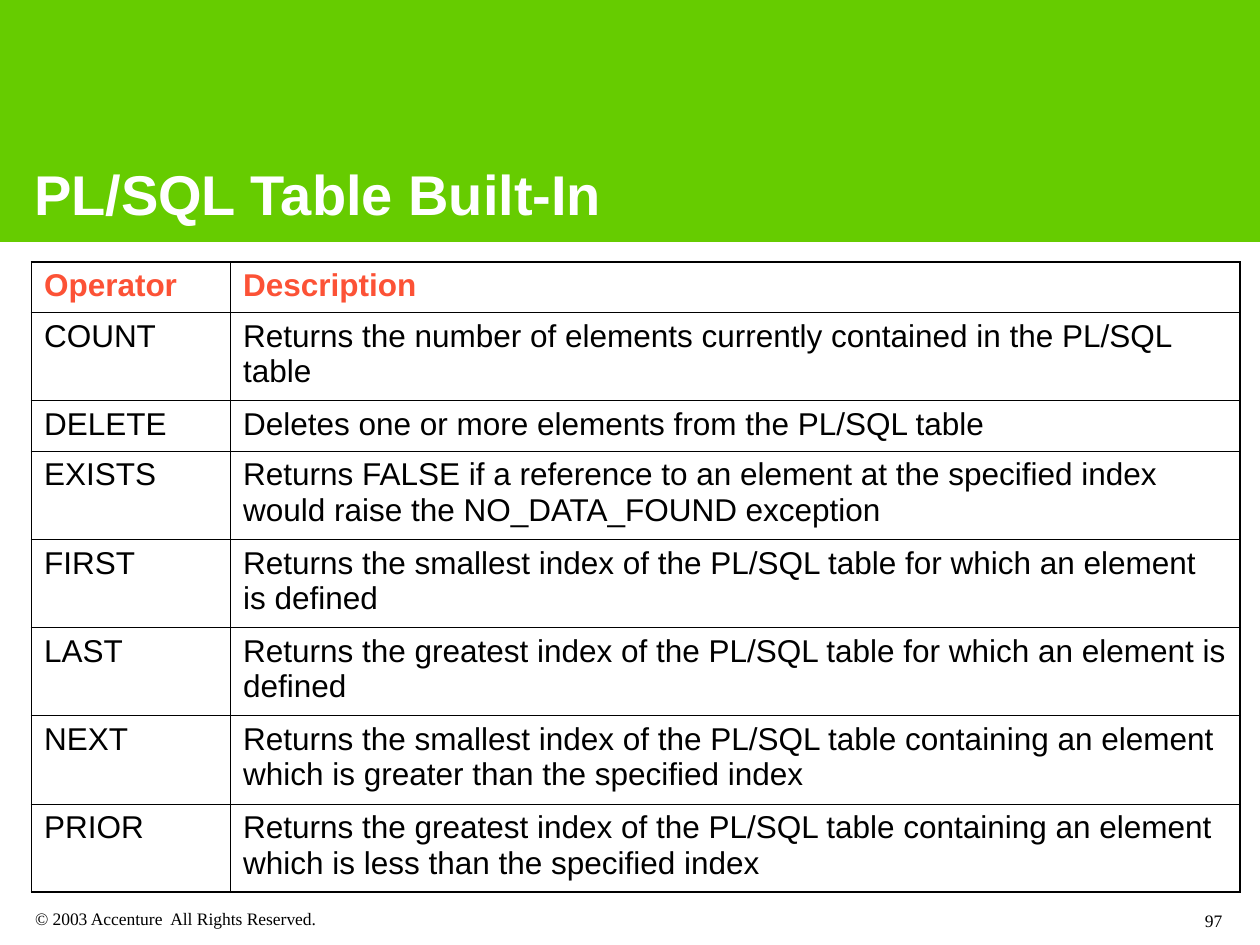
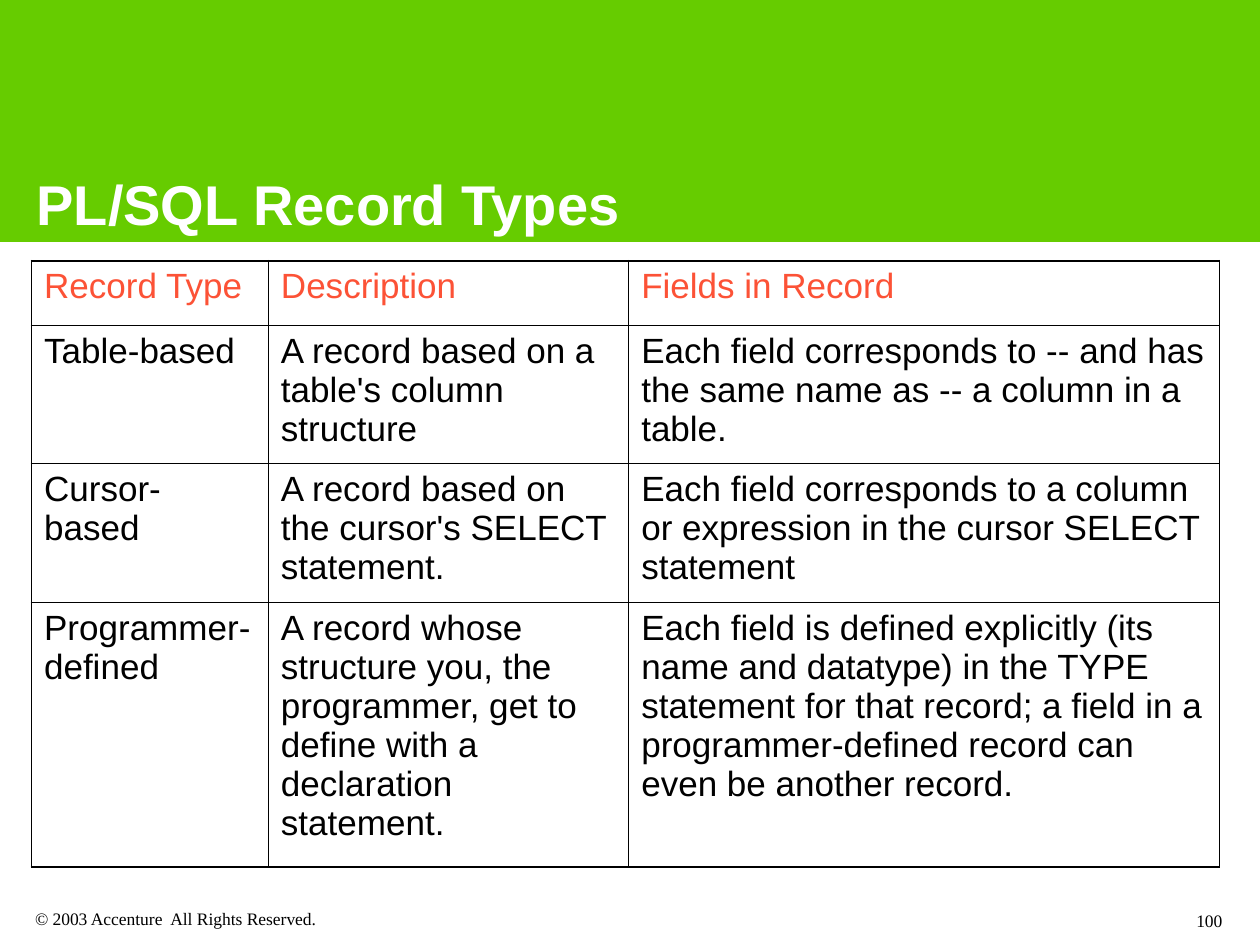
from lxml.etree import SubElement
from pptx import Presentation
from pptx.dml.color import RGBColor
from pptx.enum.shapes import MSO_SHAPE as Shape
from pptx.enum.text import MSO_ANCHOR as Anchor, MSO_AUTO_SIZE as AutoSize, PP_ALIGN as Align
from pptx.oxml import parse_xml
from pptx.oxml.ns import nsdecls, qn
from pptx.util import Inches, Pt

# Shared look
GREEN, ORANGE, BLACK, WHITE = "66CC00", "FC5236", "000000", "FFFFFF"
OUTER, INNER = 1.08, 0.45
FRAME = {
    "word_wrap": True, "auto_size": AutoSize.NONE, "vertical_anchor": Anchor.BOTTOM,
    "margin_left": Inches(0.1), "margin_right": Inches(0.1),
    "margin_top": Inches(0.05), "margin_bottom": Inches(0.05),
}
TITLE_FONT = {"name": "Arial", "size": Pt(32), "bold": True}
FOOTER_FONT = {"name": "Times New Roman", "size": Pt(10)}
COPYRIGHT = "© 2003 Accenture  All Rights Reserved."

# Content of the slides
pages = [
    {
        "title": "PL/SQL Table Built-In", "title_at": (0.17, 1.08, 6.89, 0.77),
        "number": "97", "table_at": (0.25, 2.08), "size": 18, "bold_header": True,
        "columns": [1.58, 8.01],
        "heights": [0.4, 0.7, 0.4] + [0.7] * 5,
        "rows": [
            ("Operator", "Description"),
            ("COUNT", "Returns the number of elements currently contained in the PL/SQL table"),
            ("DELETE", "Deletes one or more elements from the PL/SQL table"),
            ("EXISTS", "Returns FALSE if a reference to an element at the specified index "
                       "would raise the NO_DATA_FOUND exception"),
            ("FIRST", "Returns the smallest index of the PL/SQL table for which an element "
                      "is defined"),
            ("LAST", "Returns the greatest index of the PL/SQL table for which an element "
                     "is defined"),
            ("NEXT", "Returns the smallest index of the PL/SQL table containing an element "
                     "which is greater than the specified index"),
            ("PRIOR", "Returns the greatest index of the PL/SQL table containing an element "
                      "which is less than the specified index"),
        ],
    },
    {
        "title": "PL/SQL Record Types", "title_at": (0.19, 1.25, 6.89, 0.68),
        "number": "100", "table_at": (0.25, 2.07), "size": 20, "bold_header": False,
        "columns": [1.88, 2.86, 4.69],
        "heights": [0.51, 1.1, 1.1, 2.1],
        "rows": [
            ("Record Type", "Description", "Fields in Record"),
            ("Table-based", "A record based on a table's column structure",
             "Each field corresponds to -- and has the same name as -- a column in a table."),
            ("Cursor-based", "A record based on the cursor's SELECT statement.",
             "Each field corresponds to a column or expression in the cursor SELECT statement"),
            ("Programmer-defined",
             "A record whose structure you, the programmer, get to define with a "
             "declaration statement.",
             "Each field is defined explicitly (its name and datatype) in the TYPE statement "
             "for that record; a field in a programmer-defined record can even be another "
             "record."),
        ],
    },
]


def rgb(hex_color):
    return RGBColor.from_string(hex_color)


def write(frame, text, color, font, paragraph_format):
    frame.text = text
    paragraph = frame.paragraphs[0]
    run_font = paragraph.runs[0].font
    for target, values in ((paragraph, paragraph_format), (run_font, font)):
        for name, value in values.items():
            setattr(target, name, value)
    run_font.color.rgb = rgb(color)


deck = Presentation()
deck.slide_width, deck.slide_height = Inches(10), Inches(7.5)
layout = deck.slide_layouts[5]

for page in pages:
    slide = deck.slides.add_slide(layout)

    # Green band, moved once into the shared layout
    if page is pages[0]:
        band = slide.shapes.add_shape(Shape.RECTANGLE, 0, 0, Inches(10), Inches(1.92))
        band.shadow.inherit = False
        band.fill.solid()
        band.fill.fore_color.rgb = rgb(GREEN)
        band.line.fill.background()
        layout.shapes._spTree.insert(2, band._element)

    # Title
    title = slide.shapes.title
    title.left, title.top, title.width, title.height = map(Inches, page["title_at"])
    for name, value in FRAME.items():
        setattr(title.text_frame, name, value)
    write(title.text_frame, page["title"], WHITE, TITLE_FONT, {"alignment": Align.LEFT})

    # Table
    columns, heights, rows = page["columns"], page["heights"], page["rows"]
    left, top = map(Inches, page["table_at"])
    table = slide.shapes.add_table(len(rows), len(columns), left, top,
                                   Inches(sum(columns)), Inches(sum(heights))).table
    table.first_row = table.horz_banding = False
    for column, width in zip(table.columns, columns):
        column.width = Inches(width)
    for row, height in zip(table.rows, heights):
        row.height = Inches(height)

    for r, texts in enumerate(rows):
        for c, text in enumerate(texts):
            cell = table.cell(r, c)
            header = r == 0
            font = {"name": "Arial", "size": Pt(page["size"]),
                    "bold": header and page["bold_header"]}
            write(cell.text_frame, text, ORANGE if header else BLACK, font, {})
            cell.fill.background()

            # Heavier lines on the outer edges
            edges = {"lnL": c == 0, "lnR": c == len(columns) - 1,
                     "lnT": r == 0, "lnB": r == len(rows) - 1}
            for position, (edge, is_outer) in enumerate(edges.items()):
                width = Pt(OUTER if is_outer else INNER)
                line = parse_xml(f'<a:{edge} {nsdecls("a")} w="{width}"/>')
                SubElement(SubElement(line, qn("a:solidFill")), qn("a:srgbClr"), val=BLACK)
                cell._tc.get_or_add_tcPr().insert(position, line)

    # Footer: copyright and page number
    for text, box, paragraph_format in (
        (COPYRIGHT, (0.18, 6.92, 7.76, 0.5), {"alignment": Align.LEFT}),
        (page["number"], (7.95, 7.14, 1.85, 0.3),
         {"alignment": Align.RIGHT, "line_spacing": 0.8}),
    ):
        footer = slide.shapes.add_textbox(*map(Inches, box)).text_frame
        for name, value in FRAME.items():
            setattr(footer, name, value)
        write(footer, text, BLACK, FOOTER_FONT, paragraph_format)

deck.save("out.pptx")
